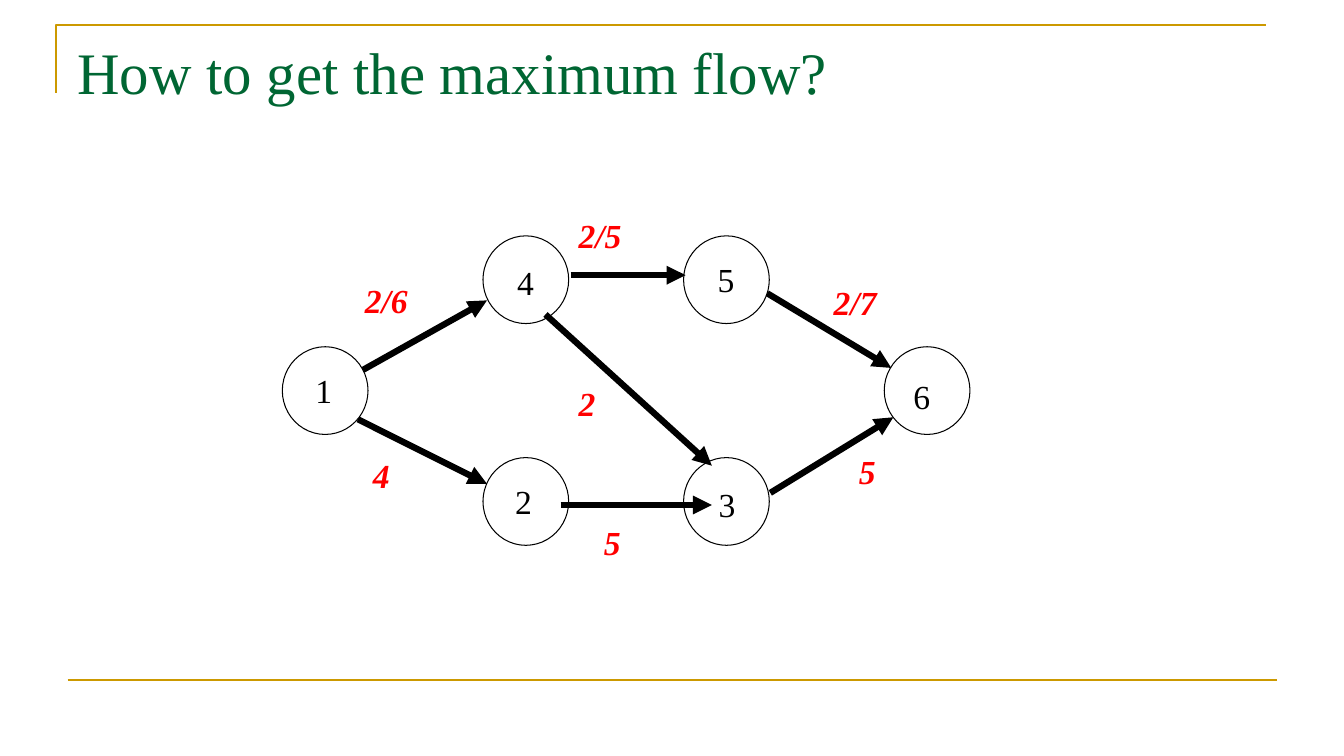
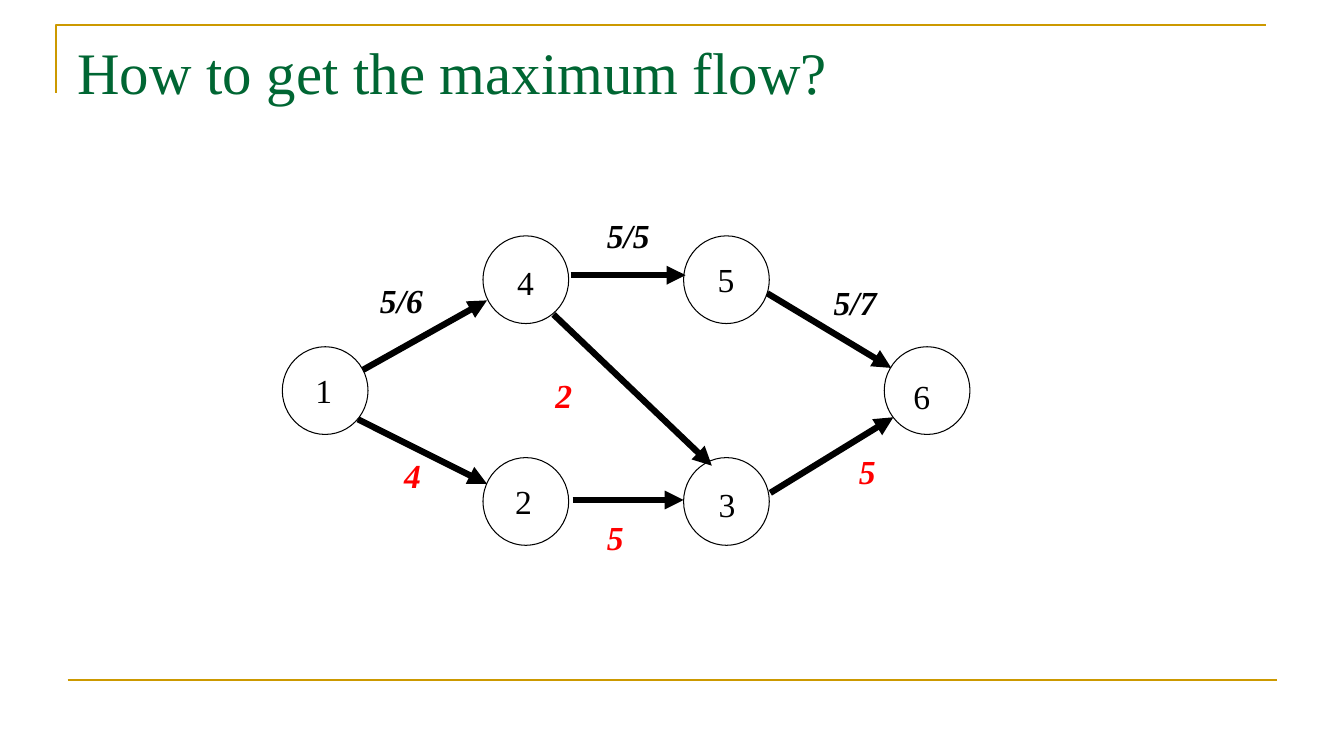
from lxml import etree
from pptx import Presentation
from pptx import util as u
from pptx.dml import color
from pptx.enum import shapes, text
from pptx.oxml import ns

FONT = "Times New Roman"
BLACK, RED, GREEN, GOLD = "000000", "FF0000", "006633", "CC9900"
TITLE = "How to get the maximum flow?"
TITLE_BOX = (0.67, 0.3, 12, 1.25)
GRAPH_ORIGIN = (2.8, 2.34)
COLUMN_STEP, ROW_STEP = 1.99, 1.1
NODE_WIDTH, NODE_HEIGHT = 0.85, 0.87
LABEL_WIDTH, LABEL_HEIGHT = 0.85, 0.5

# number: (column, row, offset of its digit inside the circle)
NODES = {
    "1": (0, 1, (0.23, 0.18)),
    "4": (1, 0, (0.24, 0.21)),
    "5": (2, 0, (0.24, 0.18)),
    "2": (1, 2, (0.22, 0.18)),
    "3": (2, 2, (0.25, 0.21)),
    "6": (3, 1, (0.19, 0.24)),
}
COMMON_EDGES = [
    ((0.8, 1.33), (2.03, 0.64)),
    ((0.75, 1.82), (2.03, 2.46)),
    ((2.86, 0.39), (4, 0.39)),
    ((4.81, 0.57), (6.04, 1.31)),
    ((4.84, 2.55), (6.06, 1.8)),
]
STEPS = [
    {
        "edges": [((2.76, 2.67), (4.26, 2.67)), ((2.61, 0.78), (4.26, 2.28))],
        "flows": [
            ("2/6", (0.72, 0.39), RED),
            ("2/5", (2.84, -0.26), RED),
            ("2/7", (5.37, 0.41), RED),
            ("4", (0.8, 2.12), RED),
            ("2", (2.84, 1.41), RED),
            ("5", (3.09, 2.79), RED),
            ("5", (5.62, 2.08), RED),
        ],
    },
    {
        "edges": [((2.88, 2.62), (3.98, 2.62)), ((2.69, 0.78), (4.26, 2.28))],
        "flows": [
            ("5/6", (0.87, 0.39), BLACK),
            ("5/5", (3.12, -0.26), BLACK),
            ("5/7", (5.37, 0.41), BLACK),
            ("4", (1.11, 2.12), RED),
            ("2", (2.61, 1.33), RED),
            ("5", (3.12, 2.74), RED),
            ("5", (5.62, 2.08), RED),
        ],
    },
]


def rgb(hex_code):
    return color.RGBColor.from_string(hex_code)


def style_line(shape, hex_code, points):
    shape.line.color.rgb = rgb(hex_code)
    shape.line.width = u.Pt(points)


def add_text(slide, box, words, size, hex_code, emphasis=False):
    frame = slide.shapes.add_textbox(*map(u.Inches, box)).text_frame
    frame.word_wrap = True
    frame.vertical_anchor = text.MSO_ANCHOR.TOP
    run = frame.paragraphs[0].add_run()
    run.text = words
    run.font.name = FONT
    run.font.size = u.Pt(size)
    run.font.color.rgb = rgb(hex_code)
    run.font.bold = run.font.italic = emphasis


def add_line(slide, start, end, hex_code, points, arrow=False):
    line = slide.shapes.add_connector(
        shapes.MSO_CONNECTOR.STRAIGHT, *map(u.Inches, (*start, *end)))
    style_line(line, hex_code, points)
    if arrow:
        etree.SubElement(line.line._get_or_add_ln(), ns.qn("a:tailEnd"), type="triangle")
    etree.SubElement(line._element.spPr, ns.qn("a:effectLst"))


def add_frame(slide):
    left, top, width, drop = 0.56, 0.25, 12, 0.67
    builder = slide.shapes.build_freeform(
        u.Inches(left), u.Inches(top + drop))
    corner = [(left, top), (left + width, top)]
    builder.add_line_segments(
        [(u.Inches(x), u.Inches(y)) for x, y in corner], close=False)
    bracket = builder.convert_to_shape()
    bracket.shadow.inherit = False
    bracket.fill.background()
    style_line(bracket, GOLD, 1.5)
    add_line(slide, (0.67, 6.75), (12.67, 6.75), GOLD, 1.5)
    add_text(slide, TITLE_BOX, TITLE, 42, GREEN)


def add_node(slide, number, left, top, digit_offset):
    circle = slide.shapes.add_shape(
        shapes.MSO_SHAPE.OVAL,
        *map(u.Inches, (left, top, NODE_WIDTH, NODE_HEIGHT)))
    circle.shadow.inherit = False
    circle.fill.background()
    style_line(circle, BLACK, 0.75)
    dx, dy = digit_offset
    add_text(slide, (left + dx, top + dy, LABEL_WIDTH, LABEL_HEIGHT),
             number, 24, BLACK)


def add_graph(slide, origin, edges, flows):
    left, top = origin

    def place(point):
        return left + point[0], top + point[1]

    for number, (column, row, digit_offset) in NODES.items():
        x, y = place((column * COLUMN_STEP, row * ROW_STEP))
        add_node(slide, number, x, y, digit_offset)
    for start, end in COMMON_EDGES + edges:
        add_line(slide, place(start), place(end), BLACK, 4.5, arrow=True)
    for flow, point, hex_code in flows:
        add_text(slide, (*place(point), LABEL_WIDTH, LABEL_HEIGHT),
                 flow, 24, hex_code, emphasis=True)


def main():
    deck = Presentation()
    deck.slide_width, deck.slide_height = u.Inches(13.33), u.Inches(7.5)
    for step in STEPS:
        slide = deck.slides.add_slide(deck.slide_layouts[6])
        add_frame(slide)
        add_graph(slide, GRAPH_ORIGIN, step["edges"], step["flows"])
    deck.save("out.pptx")


if __name__ == "__main__":
    main()
